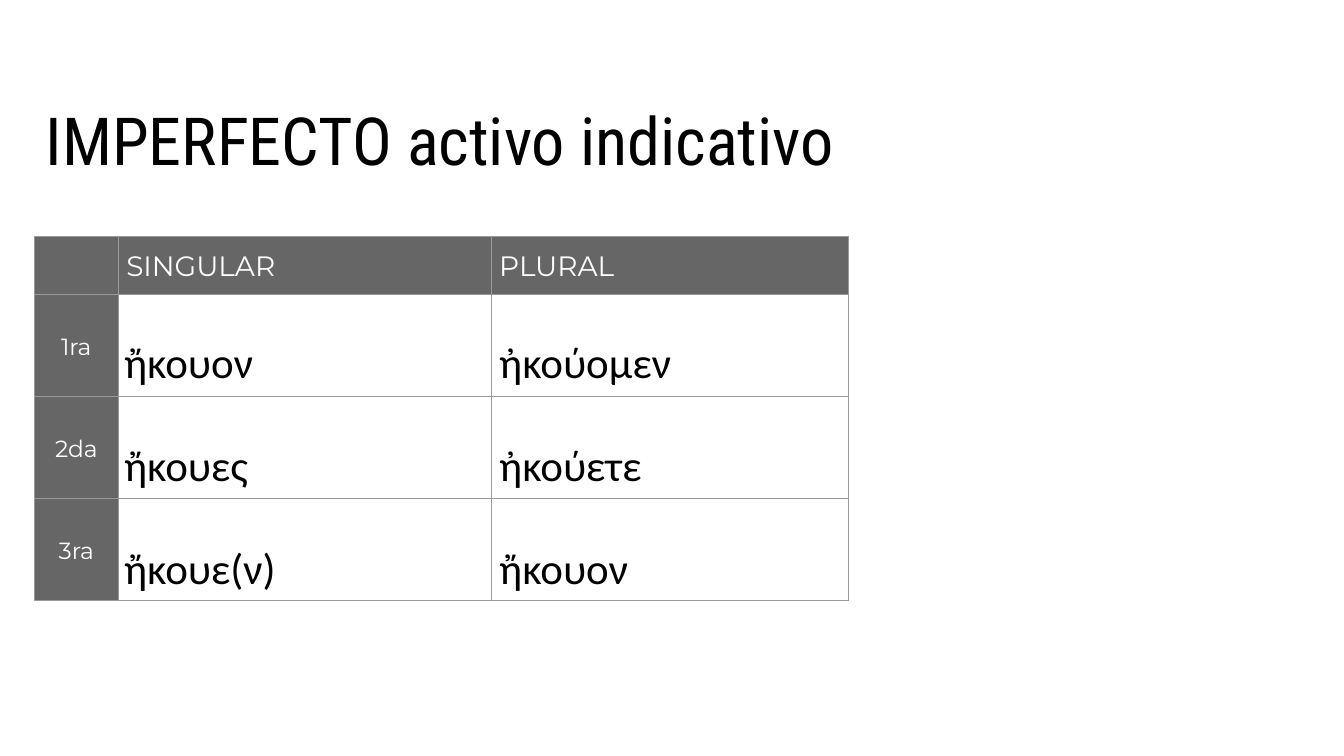
from lxml import etree
from pptx import Presentation
from pptx.dml.color import RGBColor
from pptx.enum.text import MSO_ANCHOR, MSO_AUTO_SIZE, PP_ALIGN
from pptx.oxml.ns import qn
from pptx.util import Pt

BLACK, WHITE, GRAY, BORDER = "000000", "FFFFFF", "666666", "999999"
COLUMN_WIDTHS = [90, 399.6, 382.6]
ROW_HEIGHTS = [62.6, 109.4, 109.4, 109.4]
HEADERS = ["SINGULAR", "PLURAL"]
PERSONS = ["1ra", "2da", "3ra"]
SINGULAR_FORMS = ["ἤκουον", "ἤκουες", "ἤκουε(ν)"]
PLURAL_FORMS = ["ἠκούομεν", "ἠκούετε", "ἤκουον"]


def color(value):
    return RGBColor.from_string(value)


def set_margins(target, size):
    target.margin_left = target.margin_right = Pt(size)
    target.margin_top = target.margin_bottom = Pt(size)


def format_text(frame, font_name, size, text_color, spacing=1.0, align=PP_ALIGN.LEFT):
    for paragraph in frame.paragraphs:
        paragraph.alignment = align
        paragraph.line_spacing = spacing
        for span in paragraph.runs:
            span.font.name = font_name
            span.font.size = Pt(size)
            span.font.color.rgb = color(text_color)


def set_borders(cell):
    properties = cell._tc.get_or_add_tcPr()
    for position, side in enumerate(("a:lnL", "a:lnR", "a:lnT", "a:lnB")):
        line = etree.Element(qn(side), w=str(Pt(0.75)))
        fill = etree.SubElement(line, qn("a:solidFill"))
        etree.SubElement(fill, qn("a:srgbClr"), val=BORDER)
        properties.insert(position, line)


def add_title(page, text):
    title = page.shapes.title
    title.left, title.top, title.width, title.height = Pt(36.7), Pt(94.3), Pt(1211), Pt(84.2)
    frame = title.text_frame
    frame.text = text
    frame.word_wrap = True
    frame.auto_size = MSO_AUTO_SIZE.NONE
    frame.vertical_anchor = MSO_ANCHOR.TOP
    set_margins(frame, 12.2)
    format_text(frame, "Roboto Condensed", 71, BLACK)


def add_label(cell, text, size, margin, anchor, align):
    cell.text_frame.text = text
    cell.vertical_anchor = anchor
    set_margins(cell, margin)
    format_text(cell.text_frame, "Montserrat", size, WHITE, 1.15, align)


def add_grid(page):
    table = page.shapes.add_table(
        len(ROW_HEIGHTS), len(COLUMN_WIDTHS), Pt(36.7), Pt(252.7),
        Pt(sum(COLUMN_WIDTHS)), Pt(sum(ROW_HEIGHTS))).table
    for column, width in zip(table.columns, COLUMN_WIDTHS):
        column.width = Pt(width)
    for row, height in zip(table.rows, ROW_HEIGHTS):
        row.height = Pt(height)

    # Gray header row and first column, open body cells
    for row_index, row in enumerate(table.rows):
        for column_index, cell in enumerate(row.cells):
            if row_index == 0 or column_index == 0:
                cell.fill.solid()
                cell.fill.fore_color.rgb = color(GRAY)
            else:
                cell.fill.background()
            set_borders(cell)

    for index, header in enumerate(HEADERS, 1):
        add_label(table.cell(0, index), header, 30, 8.6, MSO_ANCHOR.TOP, PP_ALIGN.LEFT)
    for index, person in enumerate(PERSONS, 1):
        add_label(table.cell(index, 0), person, 25, 7.2, MSO_ANCHOR.MIDDLE, PP_ALIGN.CENTER)


def add_verb_forms(page, forms, left, width):
    box = page.shapes.add_textbox(Pt(left), Pt(297.4), Pt(width), Pt(333.4))
    frame = box.text_frame
    frame.word_wrap = True
    set_margins(frame, 7.2)
    frame.text = "\n".join(forms)
    format_text(frame, "Calibri", 46, BLACK, 2.0)


def main():
    deck = Presentation()
    deck.slide_width, deck.slide_height = Pt(1440), Pt(810)
    page = deck.slides.add_slide(deck.slide_layouts[5])

    add_title(page, "IMPERFECTO activo indicativo")
    add_grid(page)
    # Conjugated forms over the body columns
    add_verb_forms(page, SINGULAR_FORMS, 126, 293)
    add_verb_forms(page, PLURAL_FORMS, 527.8, 281.5)

    deck.save("out.pptx")


if __name__ == "__main__":
    main()
